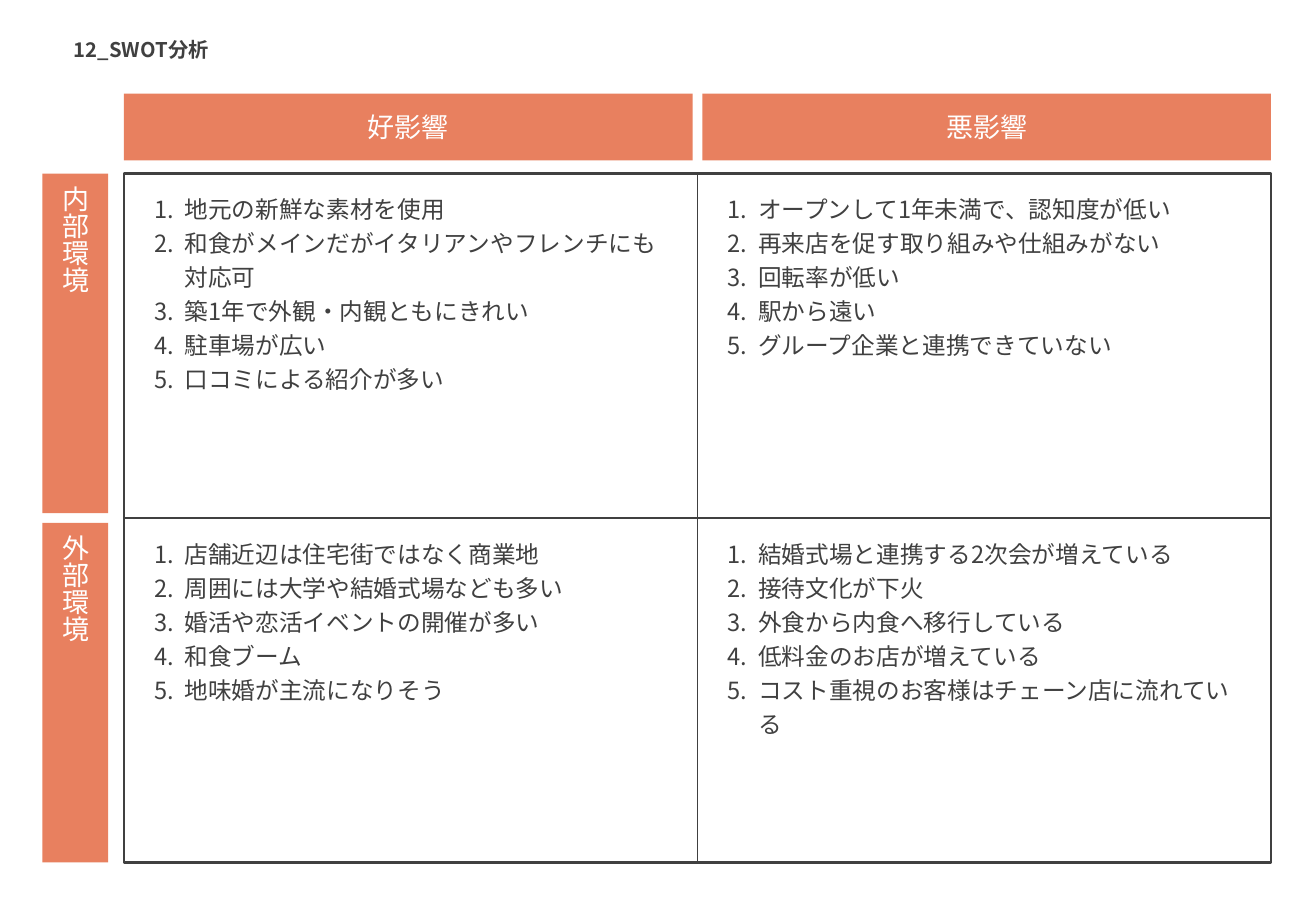
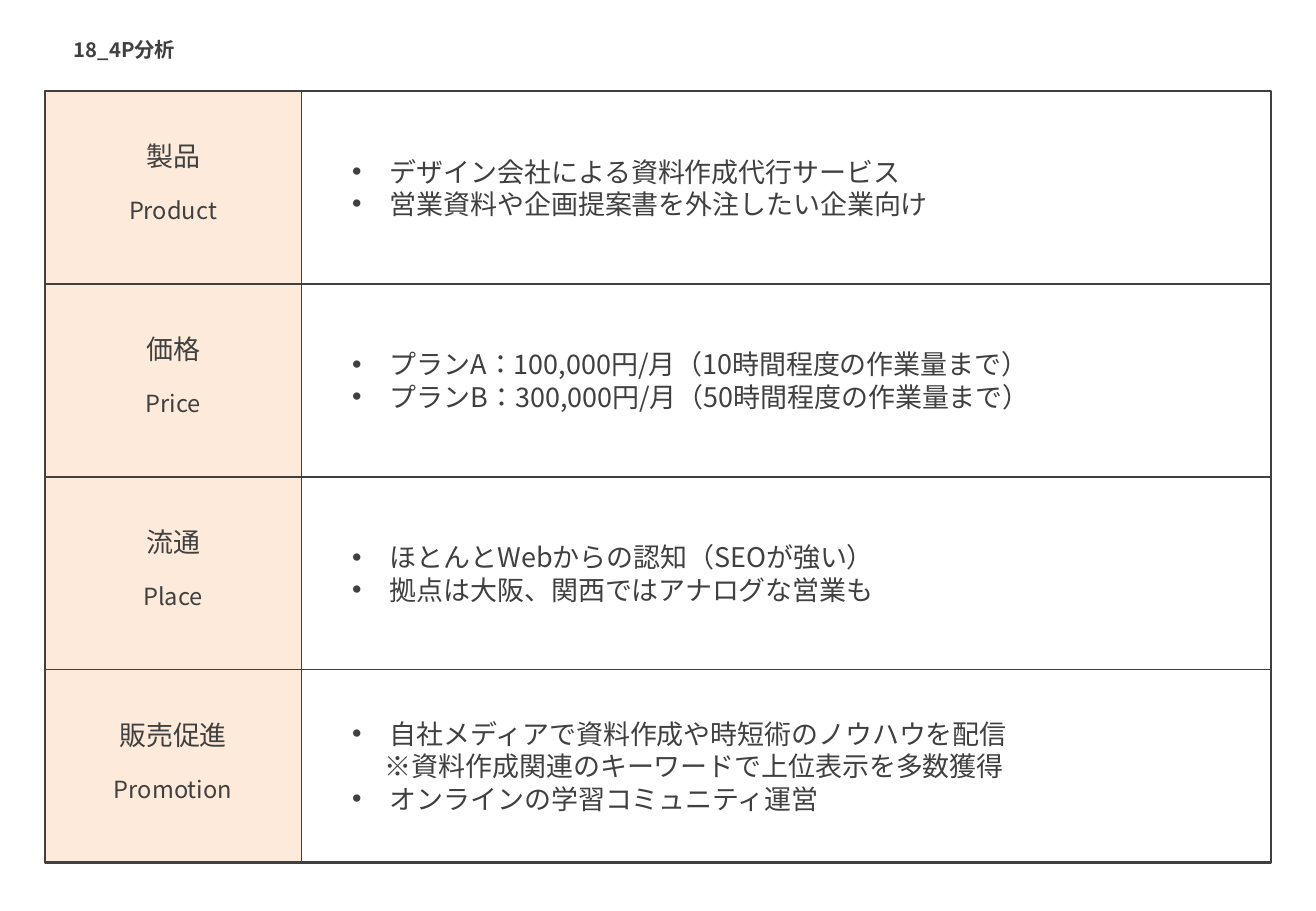
from lxml import etree
from pptx import Presentation
from pptx.dml.color import RGBColor
from pptx.enum import lang, shapes, text
from pptx.oxml.ns import qn
from pptx.util import Inches, Pt

FONT = "Noto Sans CJK JP"
INK, WHITE, CORAL, PEACH = "404040", "FFFFFF", "E8805F", "FDEADA"
LEFT, CENTER = text.PP_ALIGN.LEFT, text.PP_ALIGN.CENTER
TOP, MIDDLE = text.MSO_ANCHOR.TOP, text.MSO_ANCHOR.MIDDLE
color = RGBColor.from_string


def add_panel(slide, box, fill=None, outline=None):
    panel = slide.shapes.add_shape(shapes.MSO_SHAPE.RECTANGLE, *map(Inches, box))
    panel.shadow.inherit = False
    if fill:
        panel.fill.solid()
        panel.fill.fore_color.rgb = color(fill)
    else:
        panel.fill.background()
    if outline:
        panel.line.color.rgb = color(outline)
        panel.line.width = Pt(1.5)
    else:
        panel.line.fill.background()
    return panel


def write(shape, lines, size, ink=INK, align=LEFT, anchor=MIDDLE, bold=False,
          bullet=None, indent=0, spacing=None):
    """Fill a shape with paragraphs; bullet is "1." for numbers or a character.

    A line starting with ※ is a remark under its bullet and gets none itself.
    """
    frame = shape.text_frame
    frame.word_wrap = True
    frame.vertical_anchor = anchor
    frame.text = "\n".join(lines)
    for paragraph in frame.paragraphs:
        paragraph.alignment = align
        if spacing:
            paragraph.line_spacing = spacing
        properties = paragraph._p.get_or_add_pPr()
        if paragraph.text.startswith("※"):
            properties.set("marL", str(Inches(0.27)))
            properties.set("indent", "0")
        elif bullet:
            properties.set("marL", str(Inches(indent)))
            properties.set("indent", str(-Inches(indent)))
            if bullet == "1.":
                etree.SubElement(properties, qn("a:buAutoNum"), type="arabicPeriod")
            else:
                etree.SubElement(properties, qn("a:buFont"), typeface="Arial")
                etree.SubElement(properties, qn("a:buChar"), char=bullet)
        for run in paragraph.runs:
            run.font.size = Pt(size)
            run.font.bold = bold
            run.font.color.rgb = color(ink)
            run.font.name = FONT
            run.font.language_id = lang.MSO_LANGUAGE_ID.JAPANESE
            etree.SubElement(run.font._element, qn("a:ea"), typeface=FONT)


deck = Presentation()
deck.slide_width, deck.slide_height = Inches(10.83), Inches(7.5)
slides = []
for title in ("12_SWOT分析", "18_4P分析"):
    slide = deck.slides.add_slide(deck.slide_layouts[6])
    title_box = slide.shapes.add_textbox(*map(Inches, (0.51, 0.26, 1.41, 0.3)))
    write(title_box, [title], 12, anchor=TOP, bold=True)
    slides.append(slide)
swot, four_p = slides

RIGHT, BOTTOM = 10.46, 7.1

# SWOT: a two by two grid with column and row headings
GRID_LEFT, GRID_TOP, GAP = 1.02, 1.43, 0.08
cell_width = (RIGHT - GRID_LEFT) / 2
cell_height = (BOTTOM - GRID_TOP) / 2
add_panel(swot, (GRID_LEFT, GRID_TOP, 2 * cell_width, 2 * cell_height), outline=INK)

for column, heading in enumerate(("好影響", "悪影響")):
    left = GRID_LEFT + column * (cell_width + GAP / 2)
    band = add_panel(swot, (left, 0.77, cell_width - GAP / 2, 0.55), CORAL)
    write(band, [heading], 16, WHITE, CENTER)

for row, heading in enumerate(("内部環境", "外部環境")):
    top = GRID_TOP + row * (cell_height + GAP / 2)
    band = add_panel(swot, (0.35, top, 0.54, cell_height - GAP / 2), CORAL)
    write(band, [heading], 16, WHITE, CENTER)
    band.text_frame._txBody.bodyPr.set("vert", "eaVert")

factors = [
    [
        ["地元の新鮮な素材を使用", "和食がメインだがイタリアンやフレンチにも対応可",
         "築1年で外観・内観ともにきれい", "駐車場が広い", "口コミによる紹介が多い"],
        ["オープンして1年未満で、認知度が低い", "再来店を促す取り組みや仕組みがない",
         "回転率が低い", "駅から遠い", "グループ企業と連携できていない"],
    ],
    [
        ["店舗近辺は住宅街ではなく商業地", "周囲には大学や結婚式場なども多い",
         "婚活や恋活イベントの開催が多い", "和食ブーム", "地味婚が主流になりそう"],
        ["結婚式場と連携する2次会が増えている", "接待文化が下火",
         "外食から内食へ移行している", "低料金のお店が増えている",
         "コスト重視のお客様はチェーン店に流れている"],
    ],
]
for row, row_factors in enumerate(factors):
    for column, items in enumerate(row_factors):
        box = (GRID_LEFT + 0.15 + column * cell_width,
               GRID_TOP + 0.08 + row * cell_height, 4.42, 1.79)
        write(swot.shapes.add_textbox(*map(Inches, box)), items, 14,
              anchor=TOP, bullet="1.", indent=0.25, spacing=1.2)

# 4P: one row for each P, labels in a tinted column
FRAME_LEFT, FRAME_TOP, LABEL_WIDTH = 0.37, 0.75, 2.11
divider = FRAME_LEFT + LABEL_WIDTH
add_panel(four_p, (FRAME_LEFT, FRAME_TOP, LABEL_WIDTH, BOTTOM - FRAME_TOP), PEACH)
add_panel(four_p, (FRAME_LEFT, FRAME_TOP, RIGHT - FRAME_LEFT, BOTTOM - FRAME_TOP),
          outline=INK)

marketing_mix = [
    ("製品", "Product", 5.01,
     ["デザイン会社による資料作成代行サービス", "営業資料や企画提案書を外注したい企業向け"]),
    ("価格", "Price", 6.01,
     ["プランA：100,000円/月（10時間程度の作業量まで）",
      "プランB：300,000円/月（50時間程度の作業量まで）"]),
    ("流通", "Place", 7.17,
     ["ほとんとWebからの認知（SEOが強い）", "拠点は大阪、関西ではアナログな営業も"]),
    ("販売促進", "Promotion", 7.17,
     ["自社メディアで資料作成や時短術のノウハウを配信",
      "※資料作成関連のキーワードで上位表示を多数獲得", "オンラインの学習コミュニティ運営"]),
]
row_height = (BOTTOM - FRAME_TOP) / len(marketing_mix)
label_box_width = 1.3
label_left = FRAME_LEFT + (LABEL_WIDTH - label_box_width) / 2
for row, (japanese, english, width, points) in enumerate(marketing_mix):
    top = FRAME_TOP + row * row_height
    for label, offset, height, size in ((japanese, 0.35, 0.37, 16),
                                        (english, 0.81, 0.34, 14)):
        box = (label_left, top + offset, label_box_width, height)
        write(four_p.shapes.add_textbox(*map(Inches, box)), [label], size, align=CENTER)
    height = 0.1 + 0.27 * len(points)
    box = (2.8, top + (row_height - height) / 2, width, height)
    write(four_p.shapes.add_textbox(*map(Inches, box)), points, 16,
          bullet="•", indent=0.31)

# Inner rules of both grids
middle_x, middle_y = GRID_LEFT + cell_width, GRID_TOP + cell_height
rules = [
    (swot, middle_x, GRID_TOP, middle_x, BOTTOM),
    (swot, GRID_LEFT, middle_y, RIGHT, middle_y),
    (four_p, divider, FRAME_TOP, divider, BOTTOM),
]
for row in range(1, len(marketing_mix)):
    y = FRAME_TOP + row * row_height
    rules.append((four_p, FRAME_LEFT, y, RIGHT, y))
for slide, *ends in rules:
    rule = slide.shapes.add_connector(shapes.MSO_CONNECTOR.STRAIGHT, *map(Inches, ends))
    rule.line.color.rgb = color(INK)
    rule.line.width = Pt(1)
    etree.SubElement(rule._element.spPr, qn("a:effectLst"))

deck.save("out.pptx")
